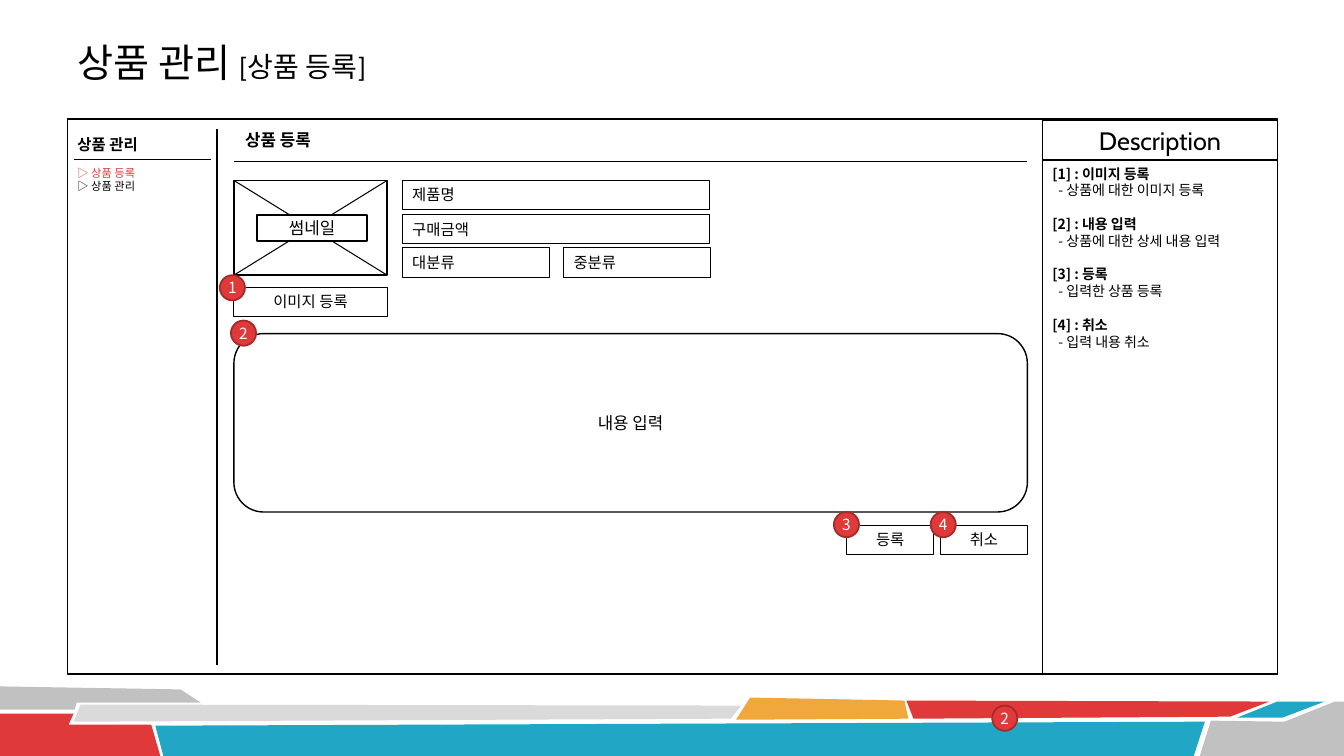
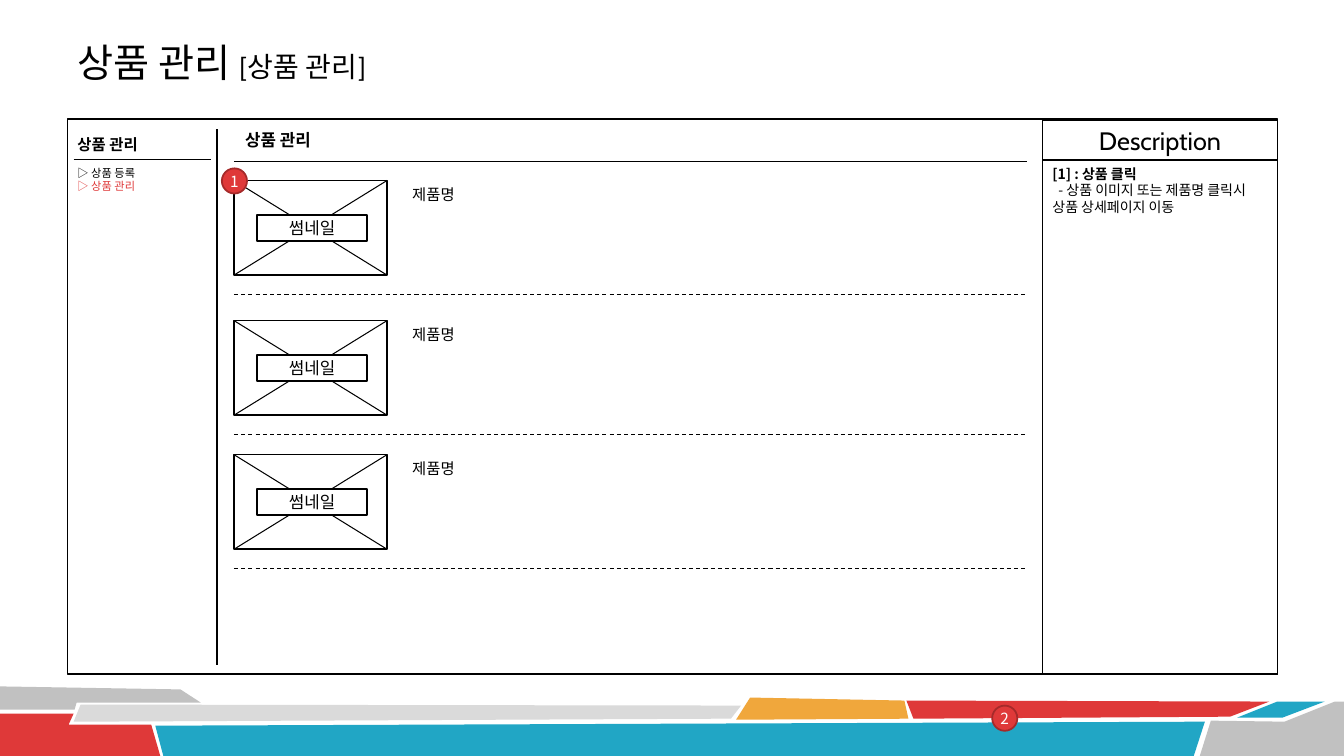
"""Build two wireframe slides for product registration and product management."""
from dataclasses import dataclass

from lxml.etree import SubElement
from pptx import Presentation
from pptx.dml.color import RGBColor
from pptx.enum.dml import MSO_LINE
from pptx.enum.shapes import MSO_CONNECTOR, MSO_SHAPE
from pptx.enum.text import MSO_ANCHOR, PP_ALIGN
from pptx.oxml.ns import qn
from pptx.shapes.autoshape import Shape
from pptx.shapes.shapetree import GroupShapes, SlideShapes
from pptx.slide import Slide
from pptx.text.text import Font, TextFrame
from pptx.util import Inches, Pt

BLACK = RGBColor(0x00, 0x00, 0x00)
WHITE = RGBColor(0xFF, 0xFF, 0xFF)
RED = RGBColor(0xDF, 0x39, 0x39)
DARK_RED = RGBColor(0xA5, 0x2A, 0x2A)
TEAL = RGBColor(0x21, 0xA6, 0xC5)
AMBER = RGBColor(0xF0, 0xA7, 0x3C)
GRAY = RGBColor(0xC1, 0xC1, 0xC1)
LIGHT_GRAY = RGBColor(0xDA, 0xDA, 0xDA)

KOREAN_FONT = "Noto Sans CJK KR"
LABEL_FONT = "Cabin"
TITLE_FONT = "Calibri"
LINE_PITCH = 1.2
THICK, THIN = 1.25, 0.75

SECTION = "상품 관리"
MENU = ("상품 등록", "상품 관리")
CONTENT_LEFT, CONTENT_RIGHT = 2.32, 10.19
FIELD_LEFT, FIELD_HEIGHT = 3.99, 0.29
THUMB_WIDTH, THUMB_HEIGHT = 1.52, 0.94
FIRST_ROW = 1.79


@dataclass(frozen=True)
class Box:
    left: float
    top: float
    width: float
    height: float

    def emu(self) -> tuple[Inches, Inches, Inches, Inches]:
        return Inches(self.left), Inches(self.top), Inches(self.width), Inches(self.height)


@dataclass(frozen=True)
class TextStyle:
    size: float
    font: str = KOREAN_FONT
    color: RGBColor = BLACK
    bold: bool = False
    align: PP_ALIGN = PP_ALIGN.LEFT
    anchor: MSO_ANCHOR = MSO_ANCHOR.MIDDLE


@dataclass(frozen=True)
class Band:
    color: RGBColor
    points: tuple[tuple[float, float], ...]


@dataclass(frozen=True)
class Field:
    label: str
    box: Box
    align: PP_ALIGN = PP_ALIGN.LEFT


@dataclass(frozen=True)
class Marker:
    label: str
    left: float
    top: float


@dataclass(frozen=True)
class Note:
    heading: str
    detail: str


BANDS = (
    Band(GRAY, ((0, 6.81), (1.79, 6.84), (1.99, 6.97), (0.76, 6.97), (0.74, 7.04), (0, 7.04))),
    Band(RED, ((0, 7.08), (0.73, 7.08), (0.68, 7.19), (1.5, 7.19), (1.59, 7.5), (0, 7.5))),
    Band(LIGHT_GRAY, ((0.8, 6.99), (7.35, 7), (7.25, 7.13), (0.73, 7.16))),
    Band(TEAL, ((1.54, 7.2), (11.95, 7.16), (11.84, 7.5), (1.62, 7.5))),
    Band(AMBER, ((7.44, 6.92), (8.97, 6.95), (9.01, 7.13), (7.3, 7.14))),
    Band(RED, ((8.99, 6.95), (12.59, 6.96), (12.2, 7.11), (9.06, 7.13))),
    Band(TEAL, ((12.67, 6.96), (13.14, 6.96), (12.72, 7.12), (12.27, 7.12))),
    Band(GRAY, ((12.01, 7.15), (12.74, 7.16), (13.24, 6.96), (13.33, 6.96), (13.33, 7.5), (11.9, 7.5))),
)
PAGE_NUMBER = Marker("2", 9.84, 7)

FIELDS = (
    Field("제품명", Box(FIELD_LEFT, FIRST_ROW, 3.05, FIELD_HEIGHT)),
    Field("구매금액", Box(FIELD_LEFT, 2.13, 3.05, FIELD_HEIGHT)),
    Field("대분류", Box(FIELD_LEFT, 2.46, 1.46, FIELD_HEIGHT)),
    Field("중분류", Box(5.59, 2.46, 1.46, FIELD_HEIGHT)),
    Field("이미지 등록", Box(CONTENT_LEFT, 2.85, THUMB_WIDTH, FIELD_HEIGHT), PP_ALIGN.CENTER),
    Field("등록", Box(8.4, 5.21, 0.86, FIELD_HEIGHT), PP_ALIGN.CENTER),
    Field("취소", Box(9.33, 5.21, 0.86, FIELD_HEIGHT), PP_ALIGN.CENTER),
)
REGISTER_MARKERS = (
    Marker("1", 2.18, 2.73),
    Marker("2", 2.29, 3.18),
    Marker("3", 8.27, 5.08),
    Marker("4", 9.23, 5.08),
)
REGISTER_NOTES = (
    Note("이미지 등록", "상품에 대한 이미지 등록"),
    Note("내용 입력", "상품에 대한 상세 내용 입력"),
    Note("등록", "입력한 상품 등록"),
    Note("취소", "입력 내용 취소"),
)
MANAGE_NOTES = (Note("상품 클릭", "상품 이미지 또는 제품명 클릭시 상품 상세페이지 이동"),)
PRODUCT_ROWS = (FIRST_ROW, 3.18, 4.51)


def format_font(font: Font, style: TextStyle) -> None:
    font.name = style.font
    font.size = Pt(style.size)
    font.bold = style.bold
    font.color.rgb = style.color
    SubElement(font._element, qn("a:ea")).set("typeface", KOREAN_FONT)


def write(frame: TextFrame, text: str, style: TextStyle) -> None:
    frame.word_wrap = True
    frame.vertical_anchor = style.anchor
    frame.text = text
    for paragraph in frame.paragraphs:
        paragraph.alignment = style.align
        paragraph.line_spacing = Pt(style.size * LINE_PITCH)
        for run in paragraph.runs:
            format_font(run.font, style)


def add_box(shapes: SlideShapes | GroupShapes, box: Box, fill: RGBColor | None = None,
            line: RGBColor | None = BLACK, weight: float = THICK,
            kind: MSO_SHAPE = MSO_SHAPE.RECTANGLE) -> Shape:
    shape = shapes.add_shape(kind, *box.emu())
    shape.shadow.inherit = False
    if fill is None:
        shape.fill.background()
    else:
        shape.fill.solid()
        shape.fill.fore_color.rgb = fill
    if line is None:
        shape.line.fill.background()
    else:
        shape.line.color.rgb = line
        shape.line.width = Pt(weight)
    return shape


def add_line(shapes: SlideShapes | GroupShapes, start: tuple[float, float],
             end: tuple[float, float], weight: float = THIN, dashed: bool = False) -> None:
    line = shapes.add_connector(MSO_CONNECTOR.STRAIGHT, *map(Inches, start + end))
    line.line.color.rgb = BLACK
    line.line.width = Pt(weight)
    if dashed:
        line.line.dash_style = MSO_LINE.DASH
    SubElement(line._element.spPr, qn("a:effectLst"))


def add_label(slide: Slide, text: str, box: Box, style: TextStyle) -> TextFrame:
    frame = slide.shapes.add_textbox(*box.emu()).text_frame
    write(frame, text, style)
    return frame


def add_band(slide: Slide, band: Band) -> None:
    start, *others = [(Inches(x), Inches(y)) for x, y in band.points]
    builder = slide.shapes.build_freeform(*start)
    builder.add_line_segments(others, close=True)
    shape = builder.convert_to_shape()
    shape.shadow.inherit = False
    shape.fill.solid()
    shape.fill.fore_color.rgb = band.color
    shape.line.fill.background()


def add_marker(slide: Slide, marker: Marker) -> None:
    circle = add_box(slide.shapes, Box(marker.left, marker.top, 0.25, 0.25), RED, DARK_RED,
                     kind=MSO_SHAPE.OVAL)
    frame = circle.text_frame
    frame.margin_left = frame.margin_right = frame.margin_top = frame.margin_bottom = 0
    write(frame, marker.label, TextStyle(11, color=WHITE, align=PP_ALIGN.CENTER))


def add_thumbnail(slide: Slide, top: float) -> None:
    shapes = slide.shapes.add_group_shape().shapes
    left, right, bottom = CONTENT_LEFT, CONTENT_LEFT + THUMB_WIDTH, top + THUMB_HEIGHT
    add_box(shapes, Box(left, top, THUMB_WIDTH, THUMB_HEIGHT), WHITE)
    add_line(shapes, (left, top), (right, bottom))
    add_line(shapes, (right, top), (left, bottom))
    caption = add_box(shapes, Box(left + 0.23, top + 0.34, 1.09, 0.26), WHITE)
    write(caption.text_frame, "썸네일", TextStyle(12, LABEL_FONT, align=PP_ALIGN.CENTER))


def add_description(slide: Slide, notes: tuple[Note, ...]) -> None:
    panel = add_box(slide.shapes, Box(10.34, 1.59, 2.33, 5.1))
    lines = [line for number, note in enumerate(notes, 1)
             for line in (f"[{number}] : {note.heading}", f"- {note.detail}")]
    write(panel.text_frame, "\n".join(lines), TextStyle(10, anchor=MSO_ANCHOR.TOP))
    for index, paragraph in enumerate(panel.text_frame.paragraphs):
        if index % 2:
            paragraph._p.get_or_add_pPr().set("indent", str(Inches(0.06)))
        else:
            paragraph.runs[0].font.bold = True
            paragraph.space_before = Pt(12 if index else 0)
    header = add_box(slide.shapes, Box(10.34, 1.19, 2.33, 0.4))
    write(header.text_frame, "Description", TextStyle(18, LABEL_FONT, align=PP_ALIGN.CENTER))


def add_menu(slide: Slide, page: str) -> None:
    add_line(slide.shapes, (2.15, 1.28), (2.15, 6.6), THICK)
    add_label(slide, SECTION, Box(0.67, 1.29, 1.49, 0.29),
              TextStyle(11, bold=True, anchor=MSO_ANCHOR.TOP))
    add_line(slide.shapes, (0.73, 1.58), (2.09, 1.58))
    entries = add_label(slide, "\n".join(f"▷ {entry}" for entry in MENU),
                        Box(0.67, 1.6, 1.49, 0.37), TextStyle(8, anchor=MSO_ANCHOR.TOP))
    entries.paragraphs[MENU.index(page)].runs[0].font.color.rgb = RED


def add_page(deck: Presentation, page: str, notes: tuple[Note, ...]) -> Slide:
    slide = deck.slides.add_slide(deck.slide_layouts[6])
    for band in BANDS:
        add_band(slide, band)
    add_box(slide.shapes, Box(0.67, 1.18, 12, 5.51), WHITE)
    title = add_label(slide, f"{SECTION} ", Box(0.67, 0.31, 12, 0.61), TextStyle(28, TITLE_FONT))
    subtitle = title.paragraphs[0].add_run()
    subtitle.text = f"[{page}]"
    format_font(subtitle.font, TextStyle(20, TITLE_FONT))
    add_description(slide, notes)
    add_menu(slide, page)
    heading = add_box(slide.shapes, Box(CONTENT_LEFT, 1.25, 1.45, 0.27), WHITE, None,
                      kind=MSO_SHAPE.ROUNDED_RECTANGLE)
    write(heading.text_frame, page, TextStyle(12, bold=True))
    add_line(slide.shapes, (CONTENT_LEFT, 1.6), (CONTENT_RIGHT, 1.6))
    add_marker(slide, PAGE_NUMBER)
    return slide


def build_register(deck: Presentation) -> None:
    slide = add_page(deck, MENU[0], REGISTER_NOTES)
    add_thumbnail(slide, FIRST_ROW)
    for field in FIELDS:
        box = add_box(slide.shapes, field.box, weight=THIN)
        write(box.text_frame, field.label,
              TextStyle(11, LABEL_FONT, align=field.align, anchor=MSO_ANCHOR.TOP))
    editor = add_box(slide.shapes, Box(CONTENT_LEFT, 3.31, CONTENT_RIGHT - CONTENT_LEFT, 1.77),
                     WHITE, weight=1, kind=MSO_SHAPE.ROUNDED_RECTANGLE)
    write(editor.text_frame, "내용 입력", TextStyle(12, align=PP_ALIGN.CENTER))
    for marker in REGISTER_MARKERS:
        add_marker(slide, marker)


def build_manage(deck: Presentation) -> None:
    slide = add_page(deck, MENU[1], MANAGE_NOTES)
    for top in PRODUCT_ROWS:
        add_thumbnail(slide, top)
        add_label(slide, "제품명", Box(FIELD_LEFT, top, 3.05, FIELD_HEIGHT),
                  TextStyle(11, LABEL_FONT, anchor=MSO_ANCHOR.TOP))
        divider = top + 1.13
        add_line(slide.shapes, (CONTENT_LEFT, divider), (CONTENT_RIGHT, divider), dashed=True)
    add_marker(slide, Marker("1", 2.2, 1.67))


def main() -> None:
    deck = Presentation()
    deck.slide_width, deck.slide_height = Inches(13.33), Inches(7.5)
    build_register(deck)
    build_manage(deck)
    deck.save("out.pptx")


if __name__ == "__main__":
    main()
